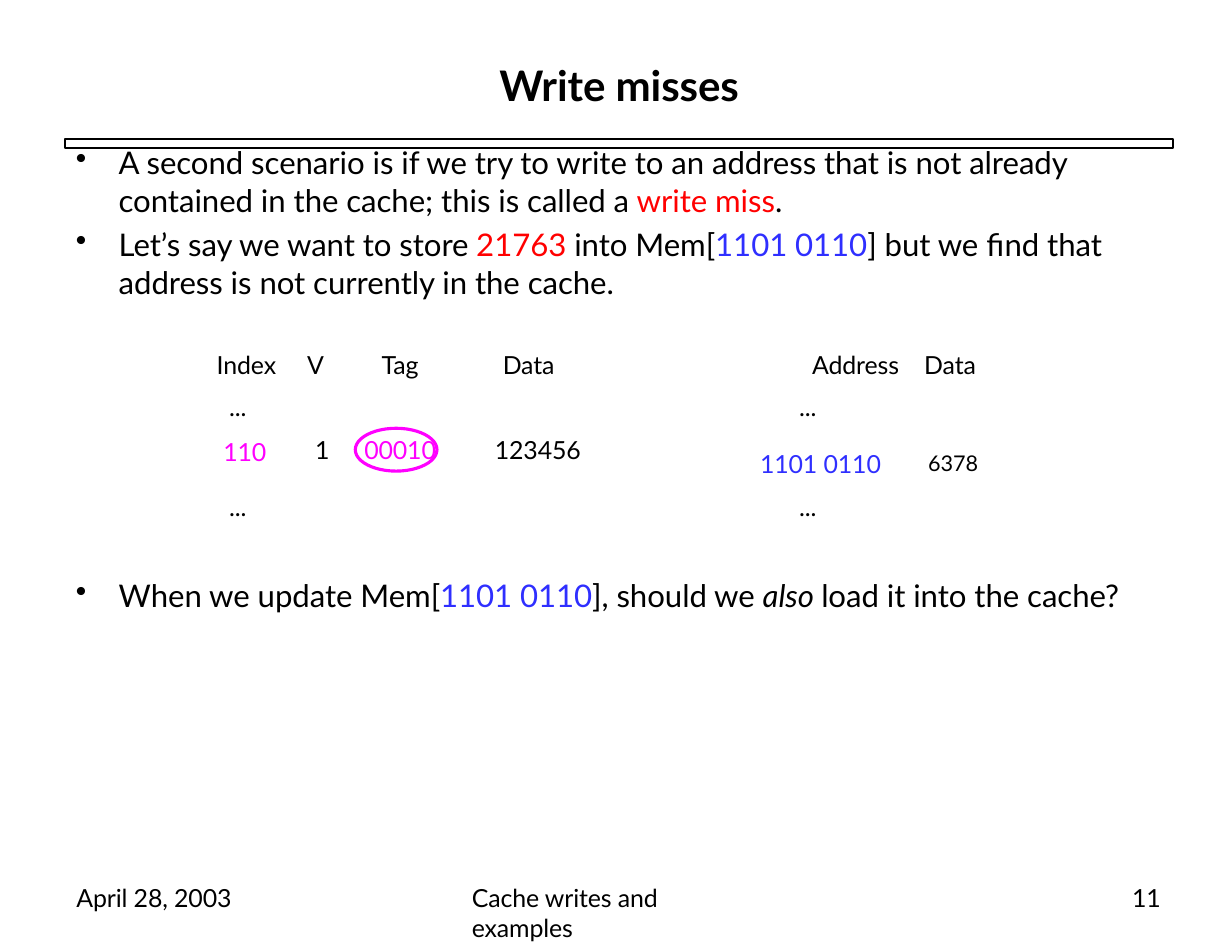
from dataclasses import dataclass

import pptx
import pptx.util
import pptx.dml.color
import pptx.enum.shapes
import pptx.enum.text
import pptx.oxml.ns
from lxml import etree

Cm = pptx.util.Cm
Pt = pptx.util.Pt
Align = pptx.enum.text.PP_ALIGN
Kind = pptx.enum.shapes.MSO_SHAPE


@dataclass(frozen=True)
class Theme:
    face: str = "Lato"
    ink: str = "000000"
    red: str = "FF0000"
    blue: str = "2F2FFF"
    pink: str = "FF00FF"
    head: float = 27
    body: float = 20
    small: float = 16
    raised: float = 24
    tight: str = "-5"
    lift: str = "5000"


THEME = Theme()


@dataclass(frozen=True)
class Run:
    text: str
    color: str = THEME.ink
    size: float = THEME.small
    bold: bool = False
    slant: bool = False
    lift: bool = False


@dataclass(frozen=True)
class Para:
    runs: tuple[Run, ...]
    align: Align = Align.LEFT
    left: float = 0
    right: float = 0
    hang: float = 0
    before: float = 0
    lead: float = 0
    tab: float = 0


@dataclass(frozen=True)
class Box:
    x: float
    y: float
    w: float
    h: float


@dataclass(frozen=True)
class Block:
    box: Box
    paras: tuple[Para, ...]


@dataclass(frozen=True)
class Mark:
    kind: Kind
    box: Box
    color: str
    width: float


@dataclass(frozen=True)
class Cell:
    row: int
    col: int
    top: float
    para: Para


def body(text: str, color: str = THEME.ink, slant: bool = False) -> Run:
    return Run(text, color, THEME.body, slant=slant)


def point(*runs: Run, before: float = 0) -> Para:
    return Para(runs, left=0.99, hang=-0.97, before=before)


def note(x: float, w: float, h: float, text: str) -> Block:
    return Block(Box(x, 19.99, w, h), (Para((Run(text),)),))


def cell(row: int, col: int, top: float, *runs: Run, **style) -> Cell:
    lead = 18.2 if row == 0 else 0
    return Cell(row, col, top, Para(runs, lead=lead, **style))


MARKS = (
    Mark(Kind.RECTANGLE, Box(1.47, 3.15, 25.1, 0.2), THEME.ink, 1),
    Mark(Kind.OVAL, Box(8.05, 9.7, 1.85, 0.97), THEME.pink, 2),
)
BLOCKS = (
    Block(Box(11.18, 1.35, 5.69, 1.19), (
        Para((Run("Write misses", size=THEME.head, bold=True),), Align.CENTER),)),
    Block(Box(1.7, 3.25, 23.62, 3.68), (
        point(body("A second scenario is if we try to write to an address that is not "
                   "already contained in the cache; this is called a "),
              body("write miss", THEME.red), body(".")),
        point(body("Let’s say we want to store "), body("21763 ", THEME.red),
              body("into Mem["), body("1101 0110", THEME.blue),
              body("] but we find that address is not currently in the cache."),
              before=4.7))),
    Block(Box(1.7, 13.06, 24.05, 0.89), (
        point(body("When we update Mem["), body("1101 0110", THEME.blue),
              body("], should we "), body("also ", slant=True),
              body("load it into the cache?")),)),
    note(1.73, 3.58, 0.74, "April 28, 2003"),
    note(10.69, 6.45, 1.37, "Cache writes and examples"),
    note(25.65, 0.74, 0.71, "11"),
)
GRID = Box(4.83, 7.95, 18.37, 3.7)
COLS = (1.83, 1.17, 2.57, 3.25, 9.55)
ROWS = (0.79, 0.97, 0.97, 0.97)
DOTS = Run("...")
CELLS = (
    cell(0, 0, 0, Run("Index"), left=0.08),
    cell(0, 1, 0, Run("V"), left=0.3),
    cell(0, 2, 0, Run("Tag"), align=Align.CENTER, right=0.1),
    cell(0, 3, 0, Run("Data"), left=0.99),
    cell(0, 4, 0, Run("Address\tData"), align=Align.RIGHT, right=1.09, tab=3.66),
    cell(2, 0, 0.18, Run("110", THEME.pink), left=0.23),
    cell(2, 1, 0.13, Run("1"), left=0.48),
    cell(2, 2, 0.13, Run("00010", THEME.pink), align=Align.CENTER, right=0.1),
    cell(2, 3, 0.13, Run("123456"), left=0.81),
    cell(2, 4, 0.18, Run("1101 0110\t", THEME.blue),
         Run("6378", size=THEME.raised, lift=True),
         align=Align.RIGHT, right=1.04, tab=3.96),
) + tuple(
    item for row, top in ((1, 0.13), (3, 0.23)) for item in (
        cell(row, 0, top, DOTS, left=0.36),
        cell(row, 4, top, DOTS, align=Align.CENTER, right=0.25))
)


def place(box: Box) -> tuple[Cm, Cm, Cm, Cm]:
    return Cm(box.x), Cm(box.y), Cm(box.w), Cm(box.h)


def tint(code: str) -> pptx.dml.color.RGBColor:
    return pptx.dml.color.RGBColor.from_string(code)


def clear(frame) -> None:
    frame.margin_left = frame.margin_right = Cm(0)
    frame.margin_top = frame.margin_bottom = Cm(0)


def write(line, para: Para) -> None:
    qn = pptx.oxml.ns.qn
    props = line._p.get_or_add_pPr()
    props.set("marL", str(Cm(para.left)))
    props.set("marR", str(Cm(para.right)))
    props.set("indent", str(Cm(para.hang)))
    if para.hang:
        etree.SubElement(props, qn("a:buChar"), char="•")
    if para.tab:
        tabs = etree.SubElement(props, qn("a:tabLst"))
        etree.SubElement(tabs, qn("a:tab"), pos=str(Cm(para.tab)), algn="l")
    line.alignment = para.align
    if para.before:
        line.space_before = Pt(para.before)
    if para.lead:
        line.line_spacing = Pt(para.lead)
    for item in para.runs:
        run = line.add_run()
        run.text = item.text
        font = run.font
        font.name, font.size = THEME.face, Pt(item.size)
        font.bold, font.italic = item.bold, item.slant
        font.color.rgb = tint(item.color)
        look = run._r.get_or_add_rPr()
        look.set("spc", THEME.tight)
        if item.lift:
            look.set("baseline", THEME.lift)


def mark(slide, item: Mark) -> None:
    shape = slide.shapes.add_shape(item.kind, *place(item.box))
    shape.shadow.inherit = False
    shape.fill.background()
    shape.line.color.rgb = tint(item.color)
    shape.line.width = Pt(item.width)


def block(slide, item: Block) -> None:
    frame = slide.shapes.add_textbox(*place(item.box)).text_frame
    frame.word_wrap = True
    clear(frame)
    for i, para in enumerate(item.paras):
        write(frame.add_paragraph() if i else frame.paragraphs[0], para)


def cache(slide) -> None:
    table = slide.shapes.add_table(len(ROWS), len(COLS), *place(GRID)).table
    table.first_row = table.horz_banding = False
    for col, width in zip(table.columns, COLS):
        col.width = Cm(width)
    for row, height in zip(table.rows, ROWS):
        row.height = Cm(height)
    for slot in table.iter_cells():
        clear(slot)
        slot.fill.background()
    for item in CELLS:
        slot = table.cell(item.row, item.col)
        slot.margin_top = Cm(item.top)
        write(slot.text_frame.paragraphs[0], item.para)


def main() -> None:
    deck = pptx.Presentation()
    deck.slide_width, deck.slide_height = Cm(27.91), Cm(21.56)
    slide = deck.slides.add_slide(deck.slide_layouts[6])
    rule, ring = MARKS
    mark(slide, rule)
    for item in BLOCKS:
        block(slide, item)
    cache(slide)
    mark(slide, ring)
    deck.save("out.pptx")


if __name__ == "__main__":
    main()
